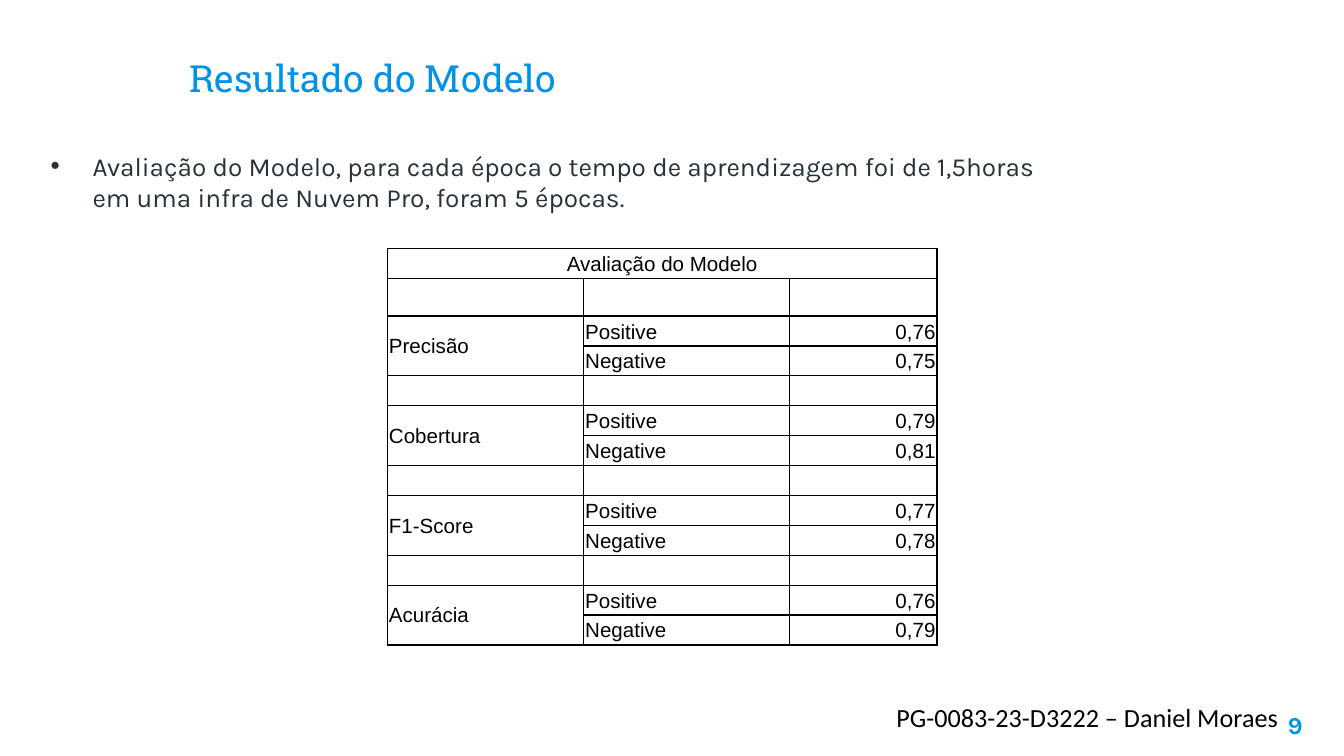
from dataclasses import dataclass

from lxml.etree import SubElement
from pptx import Presentation
from pptx.dml.color import RGBColor
from pptx.enum.text import MSO_ANCHOR, PP_ALIGN
from pptx.oxml import parse_xml
from pptx.oxml.ns import nsdecls, qn
from pptx.util import Cm, Pt


@dataclass(frozen=True)
class Theme:
    """Colours, fonts and type sizes of the slide."""
    accent: str = "0091EA"
    body: str = "263238"
    ink: str = "000000"
    heading_font: str = "Roboto Slab"
    body_font: str = "Karla"
    table_font: str = "Arial"
    footer_font: str = "Calibri"
    title_size: int = 20
    body_size: int = 14
    page_size: int = 13
    table_size: int = 11
    border: float = 0.75


THEME = Theme()
METRICS = [
    ("Precisão", "0,76", "0,75"),
    ("Cobertura", "0,79", "0,81"),
    ("F1-Score", "0,77", "0,78"),
    ("Acurácia", "0,76", "0,79"),
]


def style(paragraph, font, size, color, bold=False, align=PP_ALIGN.LEFT):
    """Format a paragraph and its runs."""
    paragraph.alignment = align
    for run in paragraph.runs:
        run.font.name = font
        run.font.size = Pt(size)
        run.font.bold = bold
        run.font.color.rgb = RGBColor.from_string(color)


def add_text(slide, box, text, insets=(0.25, 0.25, 0.25, 0.25), anchor=MSO_ANCHOR.TOP):
    """Add a wrapped text box and return its paragraph."""
    frame = slide.shapes.add_textbox(*(Cm(length) for length in box)).text_frame
    frame.word_wrap = True
    frame.vertical_anchor = anchor
    (frame.margin_left, frame.margin_top,
     frame.margin_right, frame.margin_bottom) = (Cm(inset) for inset in insets)
    frame.text = text
    return frame.paragraphs[0]


def add_title(slide, box):
    """Place the slide title at the bottom of its box."""
    title = add_text(slide, box, "Resultado do Modelo", anchor=MSO_ANCHOR.BOTTOM)
    style(title, THEME.heading_font, THEME.title_size, THEME.accent)


def add_summary(slide, box):
    """Place the bulleted training summary."""
    summary = add_text(slide, box, "Avaliação do Modelo, para cada época o tempo de aprendizagem "
                       "foi de 1,5horas em uma infra de Nuvem Pro, foram 5 épocas.")
    style(summary, THEME.body_font, THEME.body_size, THEME.body)
    summary.space_before = Pt(6)
    properties = summary._p.get_or_add_pPr()
    indent = Cm(0.79)
    properties.set("marL", str(indent))
    properties.set("indent", str(-indent))
    bullet_color = SubElement(properties, qn("a:buClr"))
    SubElement(bullet_color, qn("a:srgbClr"), val=THEME.body)
    SubElement(properties, qn("a:buFont"), typeface="Arial")
    SubElement(properties, qn("a:buChar"), char="•")


def add_borders(cell):
    """Draw a thin line on each side of a cell."""
    properties = cell._tc.get_or_add_tcPr()
    for position, side in enumerate(("lnL", "lnR", "lnT", "lnB")):
        properties.insert(position, parse_xml(
            f'<a:{side} {nsdecls("a")} w="{Pt(THEME.border)}"><a:solidFill>'
            f'<a:srgbClr val="{THEME.ink}"/></a:solidFill></a:{side}>'))


def fill_cell(cell, text, align):
    """Write and format one table cell."""
    cell.fill.background()
    add_borders(cell)
    cell.vertical_anchor = MSO_ANCHOR.MIDDLE
    cell.margin_left = cell.margin_right = cell.margin_top = Cm(0.03)
    cell.margin_bottom = Cm(0)
    paragraph = cell.text_frame.paragraphs[0]
    if text:
        paragraph.text = text
    else:
        SubElement(paragraph._p, qn("a:endParaRPr"), sz=str(THEME.table_size * 100))
    style(paragraph, THEME.table_font, THEME.table_size, THEME.ink, align=align)


def add_results(slide, box):
    """Place the evaluation table, two rows per metric with a gap row before each."""
    rows = [("Avaliação do Modelo", "", "")]
    for metric, positive, negative in METRICS:
        rows += [("", "", ""), (metric, "Positive", positive), ("", "Negative", negative)]

    left, top, width, height = box
    table = slide.shapes.add_table(len(rows), 3, *(Cm(length) for length in box)).table
    table.first_row = table.horz_banding = False
    column_widths = (3.71, 3.89, width - 3.71 - 3.89)
    for column, column_width in zip(table.columns, column_widths):
        column.width = Cm(column_width)
    first_gap = 0.71
    for number, row in enumerate(table.rows):
        row.height = Cm(first_gap if number == 1 else (height - first_gap) / (len(rows) - 1))

    for row_number, texts in enumerate(rows):
        alignments = (PP_ALIGN.LEFT if row_number else PP_ALIGN.CENTER,
                      PP_ALIGN.LEFT, PP_ALIGN.RIGHT)
        for column_number, (text, align) in enumerate(zip(texts, alignments)):
            fill_cell(table.cell(row_number, column_number), text, align)
    table.cell(0, 0).merge(table.cell(0, 2))
    for row_number in range(2, len(rows), 3):
        table.cell(row_number, 0).merge(table.cell(row_number + 1, 0))


def add_footer(slide, box):
    """Place the document reference and the page number at its right end."""
    left, top, width, height = box
    reference = add_text(slide, (left, top, 8.41, height),
                         "PG-0083-23-D3222 – Daniel Moraes", (0.25, 0.81, 0.25, 0.13))
    style(reference, THEME.footer_font, THEME.body_size, THEME.ink)
    page_width = 1.52
    page = add_text(slide, (left + width - page_width, top + 0.56, page_width, 1.09), "9")
    style(page, THEME.body_font, THEME.page_size, THEME.accent, True, PP_ALIGN.RIGHT)


def main():
    """Build the slide and save it."""
    presentation = Presentation()
    presentation.slide_width, presentation.slide_height = Cm(25.4), Cm(14.29)
    slide = presentation.slides.add_slide(presentation.slide_layouts[6])
    add_title(slide, (3.33, 0.13, 13.97, 2.01))
    add_summary(slide, (0.71, 2.59, 19.2, 1.8))
    add_footer(slide, (16.69, 12.62, 8.18, 1.55))
    add_results(slide, (7.32, 4.7, 10.39, 7.49))
    presentation.save("out.pptx")


if __name__ == "__main__":
    main()
